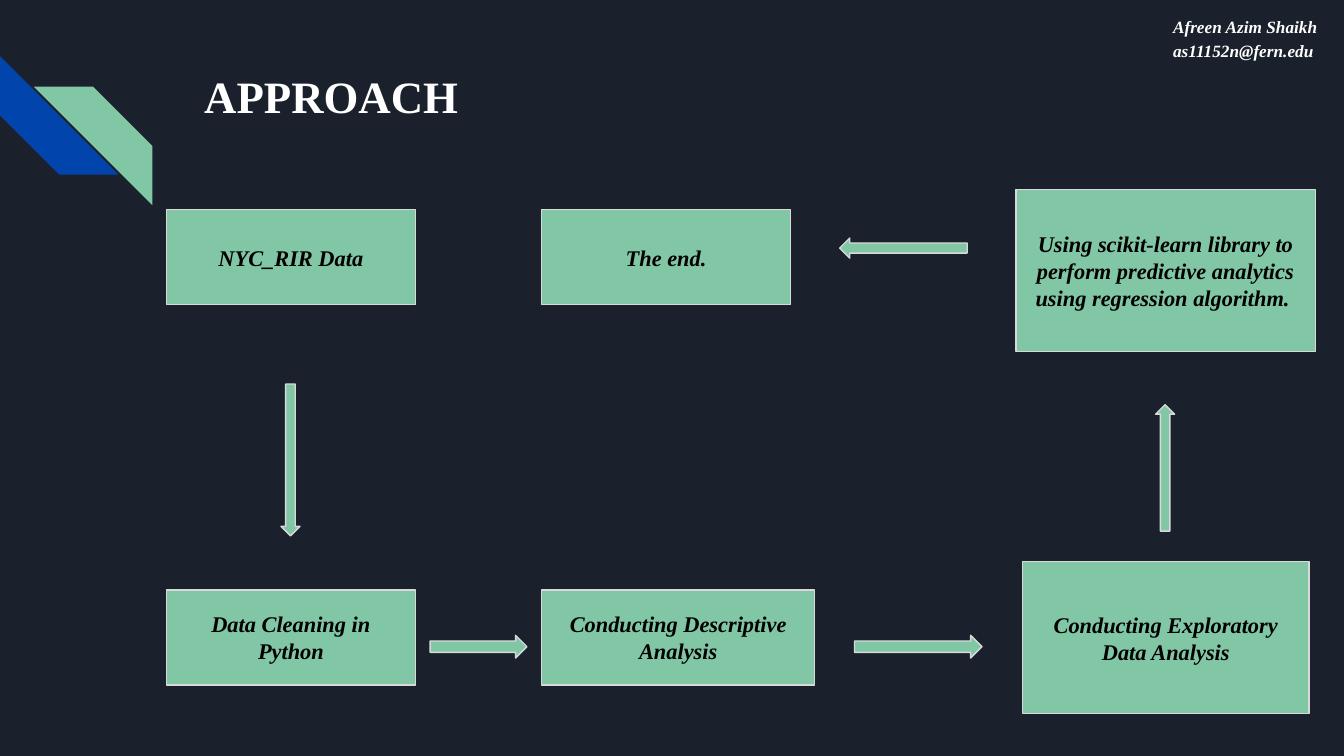
from pptx import Presentation
from pptx.dml.color import RGBColor
from pptx.enum.shapes import MSO_SHAPE as Shape
from pptx.enum.text import MSO_ANCHOR as Anchor, MSO_AUTO_SIZE as AutoSize, PP_ALIGN as Align
from pptx.util import Cm, Pt

NAVY, BLUE, GREEN, GREY = "1B212C", "0145AC", "82C7A5", "D9D9D9"
WHITE, BLACK = "FFFFFF", "000000"
FONT = "Times New Roman"
INSET = Cm(0.25)

TITLE_FORMAT = {"size": Pt(24), "bold": True, "italic": False}
AUTHOR_FORMAT = {"size": Pt(9.2), "bold": True, "italic": True}
STEP_FORMAT = {"size": Pt(12), "bold": True, "italic": True}

LEFT_COL, MIDDLE_COL = 3.15, 10.24
TOP_ROW, BOTTOM_ROW = 3.96, 11.15
STEP_W, STEP_H = 4.7, 1.8
ARROW_ROW = 12.01

STEPS = [
    ("NYC_RIR Data", (LEFT_COL, TOP_ROW, STEP_W, STEP_H)),
    ("Data Cleaning in Python", (LEFT_COL, BOTTOM_ROW, STEP_W, STEP_H)),
    ("Conducting Descriptive Analysis", (MIDDLE_COL, BOTTOM_ROW, 5.16, STEP_H)),
    ("Conducting Exploratory Data Analysis", (19.33, 10.62, 5.41, 2.87)),
    ("Using scikit-learn library to perform predictive analytics "
     "using regression algorithm. ", (19.2, 3.58, 5.66, 3.07)),
    ("The end.", (MIDDLE_COL, TOP_ROW, STEP_W, STEP_H)),
]
ARROWS = [
    (Shape.DOWN_ARROW, (5.31, 7.26, 0.36, 2.87)),
    (Shape.RIGHT_ARROW, (8.13, ARROW_ROW, 1.83, 0.43)),
    (Shape.RIGHT_ARROW, (16.15, ARROW_ROW, 2.41, 0.43)),
    (Shape.UP_ARROW, (21.84, 7.65, 0.36, 2.39)),
    (Shape.LEFT_ARROW, (15.87, 4.5, 2.41, 0.38)),
]


def color(value):
    return RGBColor.from_string(value)


def lengths(box):
    return [Cm(value) for value in box]


def set_all(target, values):
    for name, value in values.items():
        setattr(target, name, value)


def write(holder, text, font_format, ink, align=Align.LEFT, anchor=Anchor.TOP):
    frame = holder.text_frame
    set_all(frame, {
        "word_wrap": True, "auto_size": AutoSize.NONE, "vertical_anchor": anchor,
        "margin_left": INSET, "margin_right": INSET,
        "margin_top": INSET, "margin_bottom": INSET,
    })
    paragraph = frame.paragraphs[0]
    paragraph.text = text
    paragraph.alignment = align
    for run in paragraph.runs:
        set_all(run.font, {"name": FONT, **font_format})
        run.font.color.rgb = color(ink)
    return paragraph


def add_filled(slide, preset, box, fill, border=None):
    shape = slide.shapes.add_shape(preset, *lengths(box))
    shape.shadow.inherit = False
    shape.fill.solid()
    shape.fill.fore_color.rgb = color(fill)
    if border:
        shape.line.color.rgb = color(border)
        shape.line.width = Pt(0.75)
    else:
        shape.line.fill.background()
    return shape


def add_stripes(slide, box):
    left, top, width, height = box
    side = 2.24
    add_filled(slide, Shape.DIAGONAL_STRIPE, (left, top, side, side), BLUE).rotation = 270
    add_filled(slide, Shape.DIAGONAL_STRIPE,
               (left + width - side, top + height - side, side, side), GREEN).rotation = 90


def add_title(slide, box):
    title = slide.shapes.title
    set_all(title, dict(zip(("left", "top", "width", "height"), lengths(box))))
    write(title, "APPROACH", TITLE_FORMAT, WHITE)


def add_author(slide, box):
    author = slide.shapes.add_textbox(*lengths(box))
    paragraph = write(author, "Afreen Azim Shaikh\vas11152n@fern.edu", AUTHOR_FORMAT, WHITE)
    set_all(paragraph, {"line_spacing": 1.15, "space_after": Pt(12)})


def add_step(slide, box, text):
    step = add_filled(slide, Shape.RECTANGLE, box, GREEN, GREY)
    write(step, text, STEP_FORMAT, BLACK, Align.CENTER, Anchor.MIDDLE)


def main():
    deck = Presentation()
    deck.slide_width, deck.slide_height = Cm(25.4), Cm(14.29)
    slide = deck.slides.add_slide(deck.slide_layouts[5])
    slide.background.fill.solid()
    slide.background.fill.fore_color.rgb = color(NAVY)

    add_stripes(slide, (0, 1.06, 2.88, 2.82))
    add_title(slide, (3.61, 1.04, 19.56, 2.54))
    add_author(slide, (21.92, 0, 3.48, 1.35))
    for text, box in STEPS:
        add_step(slide, box, text)
    for preset, box in ARROWS:
        add_filled(slide, preset, box, GREEN, GREY)
    deck.save("out.pptx")


if __name__ == "__main__":
    main()
